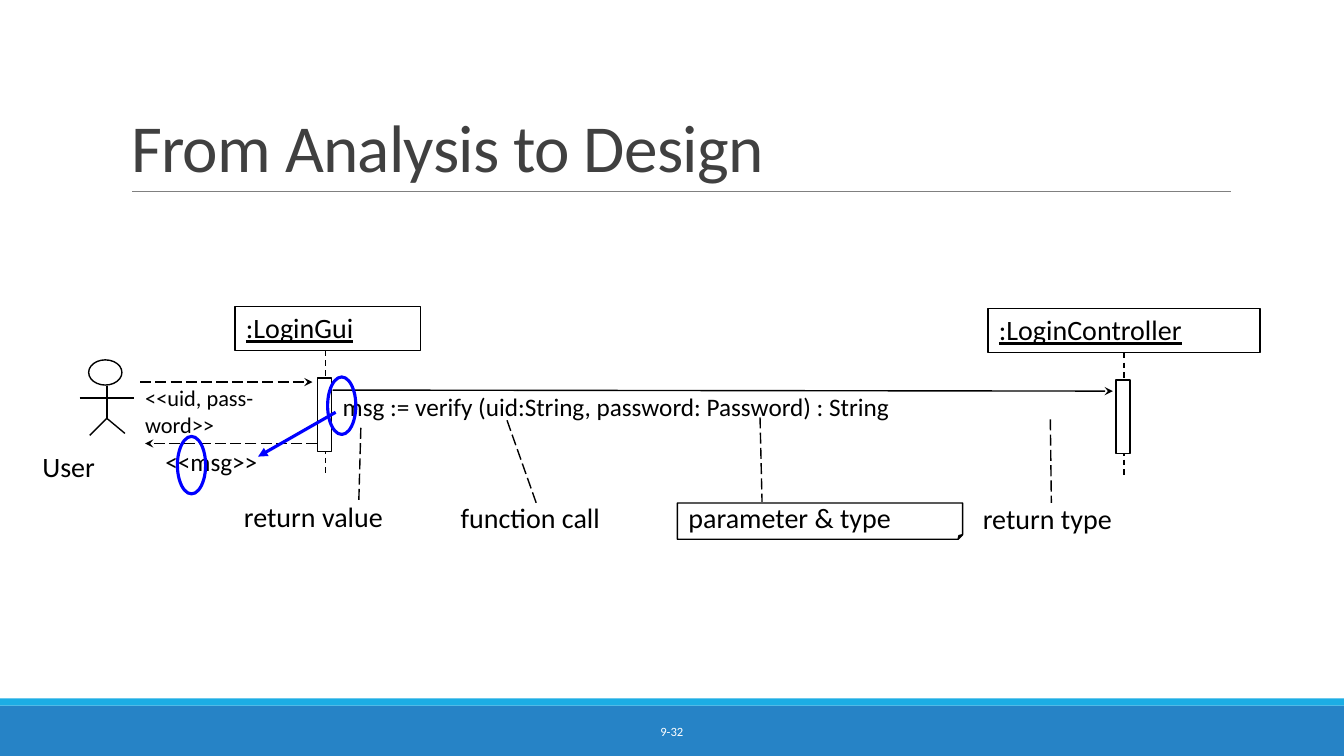
from lxml import etree
from pptx import Presentation
from pptx import util as u
from pptx.dml.color import RGBColor
from pptx.enum import dml, shapes, text
from pptx.oxml.ns import qn

COL = ROW = u.Inches(0.1)
WIDE, HIGH = 133.33, 75
FONT = "Calibri"
BLACK = RGBColor(0, 0, 0)
WHITE = RGBColor(0xFF, 0xFF, 0xFF)
BLUE = RGBColor(0, 0, 0xFF)
FOOTER = RGBColor(0x26, 0x83, 0xC6)
STRIPE = RGBColor(0x1C, 0xAD, 0xE4)
RULE = RGBColor(0x80, 0x80, 0x80)
HEADING = RGBColor(0x40, 0x40, 0x40)
DASH = dml.MSO_LINE.DASH
LONG_DASH = dml.MSO_LINE.LONG_DASH
KIND = shapes.MSO_SHAPE


def grid(col, row, cols, rows):
    return round(col * COL), round(row * ROW), round(cols * COL), round(rows * ROW)


def add_words(paragraph, words, size, color=BLACK, underline=None):
    run = paragraph.add_run()
    run.text = words
    run.font.name = FONT
    run.font.size = u.Pt(size)
    run.font.color.rgb = color
    run.font.underline = underline
    return run


def add_label(slide, words, place, size=20, color=BLACK, underline=None, wrap=False):
    frame = slide.shapes.add_textbox(*grid(*place)).text_frame
    frame.margin_left = frame.margin_right = frame.margin_top = frame.margin_bottom = 0
    frame.word_wrap = wrap
    add_words(frame.paragraphs[0], words, size, color, underline)
    return frame


def add_outline(slide, kind, place, line=BLACK, weight=1, fill=None):
    outline = slide.shapes.add_shape(kind, *grid(*place))
    outline.shadow.inherit = False
    if fill is None:
        outline.fill.background()
    else:
        outline.fill.solid()
        outline.fill.fore_color.rgb = fill
    if line is None:
        outline.line.fill.background()
    else:
        outline.line.color.rgb = line
        outline.line.width = u.Pt(weight)
    return outline


def add_line(slide, start, end, dash=None, head=None, color=BLACK, weight=1):
    line = slide.shapes.add_connector(shapes.MSO_CONNECTOR.STRAIGHT,
                                      *grid(*start, *end))
    line.line.color.rgb = color
    line.line.width = u.Pt(weight)
    if dash is not None:
        line.line.dash_style = dash
    if head:
        etree.SubElement(line.line._get_or_add_ln(), qn("a:tailEnd"), type=head)
    etree.SubElement(line._element.spPr, qn("a:effectLst"))


def add_title(slide, words):
    title = slide.shapes.title
    title.left, title.top, title.width, title.height = grid(12, 3.1, 110, 15.9)
    frame = title.text_frame
    frame.auto_size = text.MSO_AUTO_SIZE.NONE
    frame.word_wrap = True
    frame.vertical_anchor = text.MSO_ANCHOR.BOTTOM
    heading = frame.paragraphs[0]
    heading.alignment = text.PP_ALIGN.LEFT
    heading.line_spacing = 0.85
    run = add_words(heading, words, 48, HEADING)
    run.font._element.set("spc", "-50")


def add_footer(slide, number):
    add_outline(slide, KIND.RECTANGLE, (0, 70, WIDE, 5), None, fill=FOOTER)
    add_outline(slide, KIND.RECTANGLE, (0, 69.3, WIDE, 0.7), None, fill=STRIPE)
    frame = add_label(slide, number, (40.3, 70.6, 52.7, 4), 9, WHITE, wrap=True)
    frame.vertical_anchor = text.MSO_ANCHOR.MIDDLE
    frame.paragraphs[0].alignment = text.PP_ALIGN.CENTER


def add_participant(slide, name, col, row, cols, axis):
    add_line(slide, (axis, row + 4.4), (axis, row + 16.9), DASH)
    add_outline(slide, KIND.RECTANGLE, (axis - 0.8, row + 7.1, 1.4, 7.3), fill=WHITE)
    add_outline(slide, KIND.RECTANGLE, (col, row, cols, 4.4))
    add_label(slide, name, (col + 1.1, row + 0.4, cols - 2.2, 3.4), underline=True)


def add_actor(slide, name, axis, row):
    neck, hip = row + 2.6, row + 5.8
    add_outline(slide, KIND.OVAL, (axis - 1.8, row, 3.3, 2.5))
    add_line(slide, (axis - 2.7, row + 3.8), (axis + 2.7, row + 3.8))
    add_line(slide, (axis, neck), (axis, hip))
    add_line(slide, (axis, hip), (axis - 1.7, row + 7.5))
    add_line(slide, (axis, hip), (axis + 1.8, row + 7.3))
    add_label(slide, name, (axis - 6.4, row + 8.9, 5.3, 3.4))


def add_callout(slide, words, place, start, end):
    add_label(slide, words, place)
    add_line(slide, start, end, LONG_DASH)


def add_note(slide, place):
    note = add_outline(slide, KIND.FOLDED_CORNER, place)
    guides = note._element.spPr.find(qn("a:prstGeom")).get_or_add_avLst()
    etree.SubElement(guides, qn("a:gd"), name="adj", fmla="val 12500")


def main():
    deck = Presentation()
    deck.slide_width, deck.slide_height = grid(0, 0, WIDE, HIGH)[2:]
    slide = deck.slides.add_slide(deck.slide_layouts[5])

    add_footer(slide, "9-32")
    add_line(slide, (13.1, 19), (122.1, 19), color=RULE, weight=0.5)
    add_title(slide, "From Analysis to Design")

    add_participant(slide, ":LoginGui", 23.3, 30.4, 18.4, 32.3)
    add_participant(slide, ":LoginController", 98, 30.6, 27, 111.5)
    add_actor(slide, "User", 10.6, 35.7)

    add_line(slide, (13.9, 37.9), (31, 37.9), LONG_DASH, "stealth")
    add_line(slide, (33, 38.7), (110.4, 38.8), head="stealth")
    add_line(slide, (31.5, 44), (14.4, 44), LONG_DASH, "stealth")
    add_label(slide, "<<uid, pass-word>>", (14.4, 38.1, 16.9, 5.3), 16, wrap=True)
    add_label(slide, "msg := verify (uid:String, password: Password) : String",
              (34, 38.8, 75.6, 3), 18, wrap=True)
    add_label(slide, "<<msg>>", (16.4, 44.3, 9.3, 3), 18)

    for callout in (
        ("return value", (24.2, 49.6, 14, 3.4), (35.6, 49.6), (35.8, 42.4)),
        ("function call", (45.7, 49.7, 14, 3.4), (50.3, 41.7), (53.2, 49.9)),
        ("parameter & type", (68.3, 49.7, 20.3, 3.4), (75.4, 41.4), (75.6, 49.8)),
        ("return type", (97.5, 49.8, 12.9, 3.4), (104.2, 41.6), (104.3, 49.9)),
    ):
        add_callout(slide, *callout)
    add_note(slide, (67.2, 49.9, 28.3, 3.6))

    for col, row in ((32.5, 37.4), (17.6, 43.3)):
        add_outline(slide, KIND.OVAL, (col, row, 2.8, 5.7), BLUE, 2.25)
    add_line(slide, (33.3, 40.9), (25.6, 45.3), head="triangle", color=BLUE, weight=2.25)

    deck.save("out.pptx")


if __name__ == "__main__":
    main()
